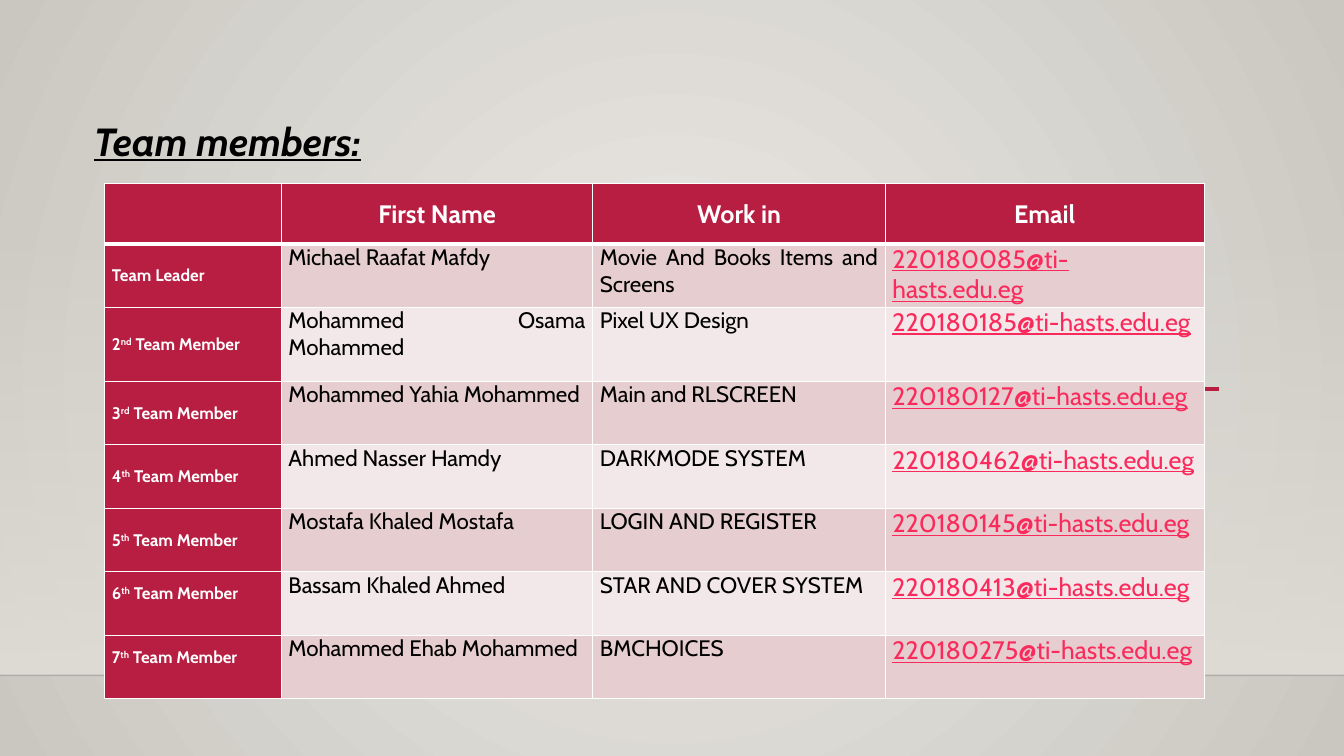
from lxml.etree import SubElement as Sub
from pptx import Presentation
from pptx.dml.color import RGBColor
from pptx.enum.shapes import MSO_CONNECTOR as Link, MSO_SHAPE as Shape
from pptx.enum.text import MSO_ANCHOR as Anchor, PP_ALIGN as Align
from pptx.oxml.ns import qn
from pptx.util import Cm, Pt

RED, PINK, WHITE, BLACK = "B71E42", "FA2B5C", "FFFFFF", "000000"


def color(code):
    return RGBColor.from_string(code)


def write(par, text, size, code, bold=False, line=False, base=0):
    run = par.add_run()
    run.text = text
    font = run.font
    font.name, font.size, font.bold, font.underline = "Cabin", Pt(size), bold, line
    font.color.rgb = color(code)
    if base:
        font._element.set("baseline", str(base))
    return font


deck = Presentation()
deck.slide_width, deck.slide_height = Cm(33.87), Cm(19.05)
slide = deck.slides.add_slide(deck.slide_layouts[5])

back = slide.background.fill
back.gradient()
band = slide.shapes.add_shape(Shape.RECTANGLE, 0, Cm(5.61), Cm(33.87), Cm(11.41))
band.shadow.inherit = False
band.line.fill.background()
band.fill.gradient()
band.fill.gradient_angle = 270
for fill, codes in ((back, ("ECEAE7", "CAC7C1")), (band.fill, ("DFDBD5", "DFDBD5"))):
    for stop, code, spot in zip(fill.gradient_stops, codes, (0, 1)):
        stop.color.rgb = color(code)
        stop.position = spot

grad = slide.background._cSld.find(".//" + qn("a:gradFill"))
grad.remove(grad.find(qn("a:lin")))
ring = Sub(grad, qn("a:path"), path="circle")
Sub(ring, qn("a:fillToRect"), l="50000", t="50000", r="50000", b="50000")
first = band._element.spPr.find(".//" + qn("a:srgbClr"))
Sub(first, qn("a:alpha"), val="0")

for left, right, top, code, width, alpha in (
    (0, 33.87, 17.02, "000001", 1, "20000"),
    (6.71, 30.71, 9.8, RED, 2.5, "100000"),
):
    rule = slide.shapes.add_connector(Link.STRAIGHT, Cm(left), Cm(top), Cm(right), Cm(top))
    rule.line.color.rgb = color(code)
    rule.line.width = Pt(width)
    Sub(rule._element.spPr.find(".//" + qn("a:srgbClr")), qn("a:alpha"), val=alpha)
    Sub(rule._element.spPr, qn("a:effectLst"))

title = slide.shapes.title
title.left, title.top, title.width, title.height = Cm(2.11), Cm(2.82), Cm(11.61), Cm(1.45)
frame = title.text_frame
frame.word_wrap = True
frame.vertical_anchor = Anchor.TOP
head = frame.paragraphs[0]
head.alignment = Align.LEFT
write(head, "Team members:", 28, BLACK, True, True).italic = True

team = (
    ("", "Michael Raafat Mafdy", "Movie And Books Items and Screens", "085"),
    ("nd", "Mohammed Osama Mohammed", "Pixel UX Design", "185"),
    ("rd", "Mohammed Yahia Mohammed", "Main and RLSCREEN", "127"),
    ("th", "Ahmed Nasser Hamdy", "DARKMODE SYSTEM", "462"),
    ("th", "Mostafa Khaled Mostafa", "LOGIN AND REGISTER", "145"),
    ("th", "Bassam Khaled Ahmed", "STAR AND COVER SYSTEM", "413"),
    ("th", "Mohammed Ehab Mohammed", "BMCHOICES", "275"),
)
rows = [("", "First Name", "Work in", "Email")]
rows += [(end, name, work, f"220180{code}@ti-hasts.edu.eg") for end, name, work, code in team]
highs = [1.52, 1.6, 1.87] + [1.6] * 5
wides = (4.45, 7.85, 7.37, 8.04)
table = slide.shapes.add_table(
    len(rows), len(wides), Cm(2.64), Cm(4.62), Cm(sum(wides)), Cm(sum(highs))
).table
for col, wide in zip(table.columns, wides):
    col.width = Cm(wide)
for row, high in zip(table.rows, highs):
    row.height = Cm(high)

for i, row in enumerate(rows):
    for j, text in enumerate(row):
        cell = table.cell(i, j)
        cell.margin_left = cell.margin_right = Cm(0.18)
        cell.margin_top = cell.margin_bottom = 0
        props = cell._tc.get_or_add_tcPr()
        for side in "LRTB":
            thick = (i, side) in ((0, "B"), (1, "T"))
            edge = Sub(props, qn("a:ln" + side), w=str(Pt(3 if thick else 1)))
            Sub(Sub(edge, qn("a:solidFill")), qn("a:srgbClr"), val=WHITE)
        cell.fill.solid()
        shade = "E6CDCF" if i % 2 else "F3E8E9"
        cell.fill.fore_color.rgb = color(RED if i == 0 or j == 0 else shade)
        par = cell.text_frame.paragraphs[0]
        par.alignment = Align.JUSTIFY if i else Align.CENTER
        if i == 0:
            par.line_spacing = 1.5
            if text:
                write(par, text, 18, WHITE, True)
        elif j == 0:
            cell.vertical_anchor = Anchor.MIDDLE
            if i > 5:
                cell.margin_bottom = Cm(0.51)
            if i == 1:
                write(par, "Team Leader", 12, WHITE, True)
            else:
                write(par, str(i), 12, WHITE, True)
                write(par, text, 12, WHITE, True, base=30000)
                write(par, " Team Member", 12, WHITE, True)
        elif j == 3:
            write(par, text, 18, PINK, line=True)
        else:
            write(par, text, 16, BLACK)

deck.save("out.pptx")
